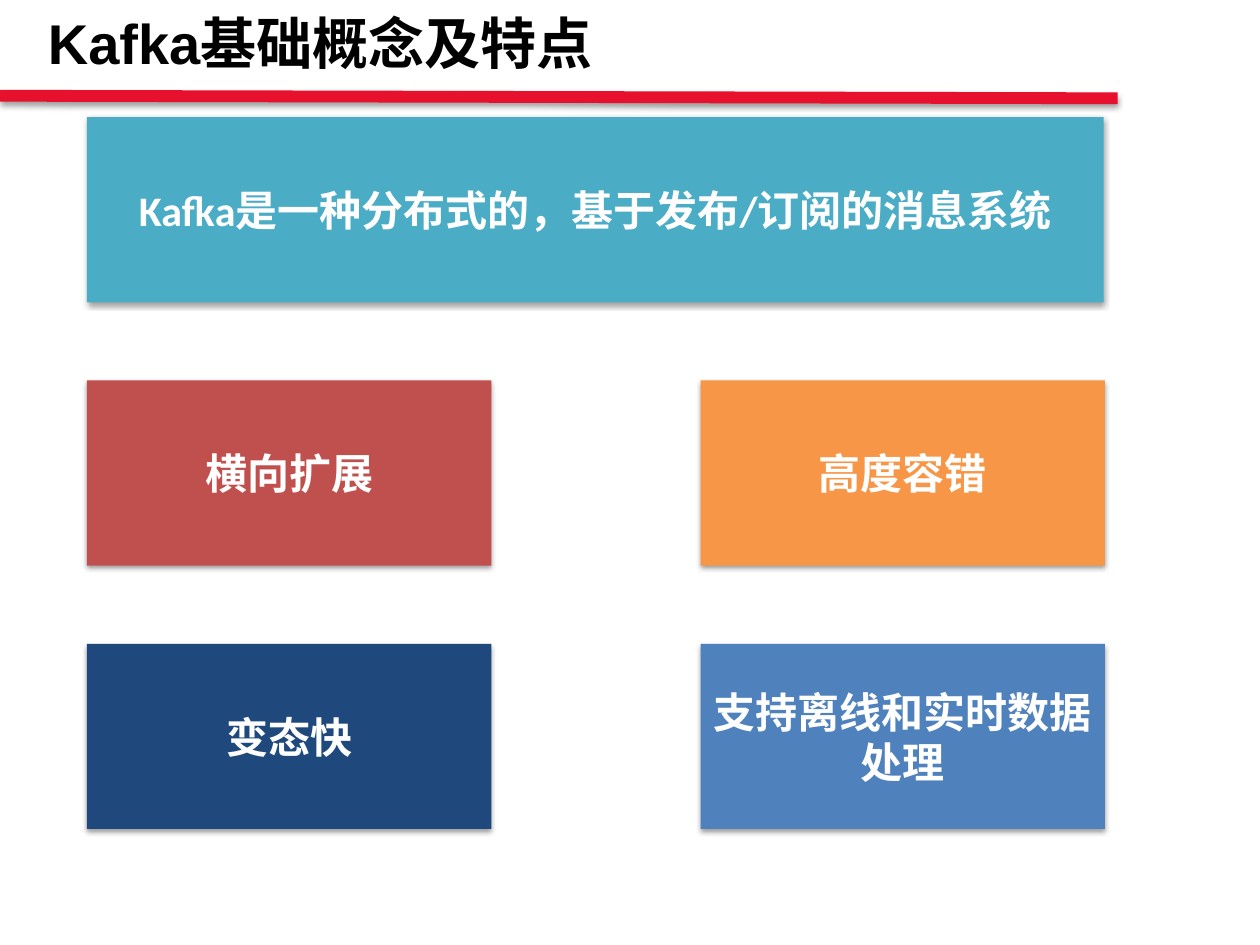
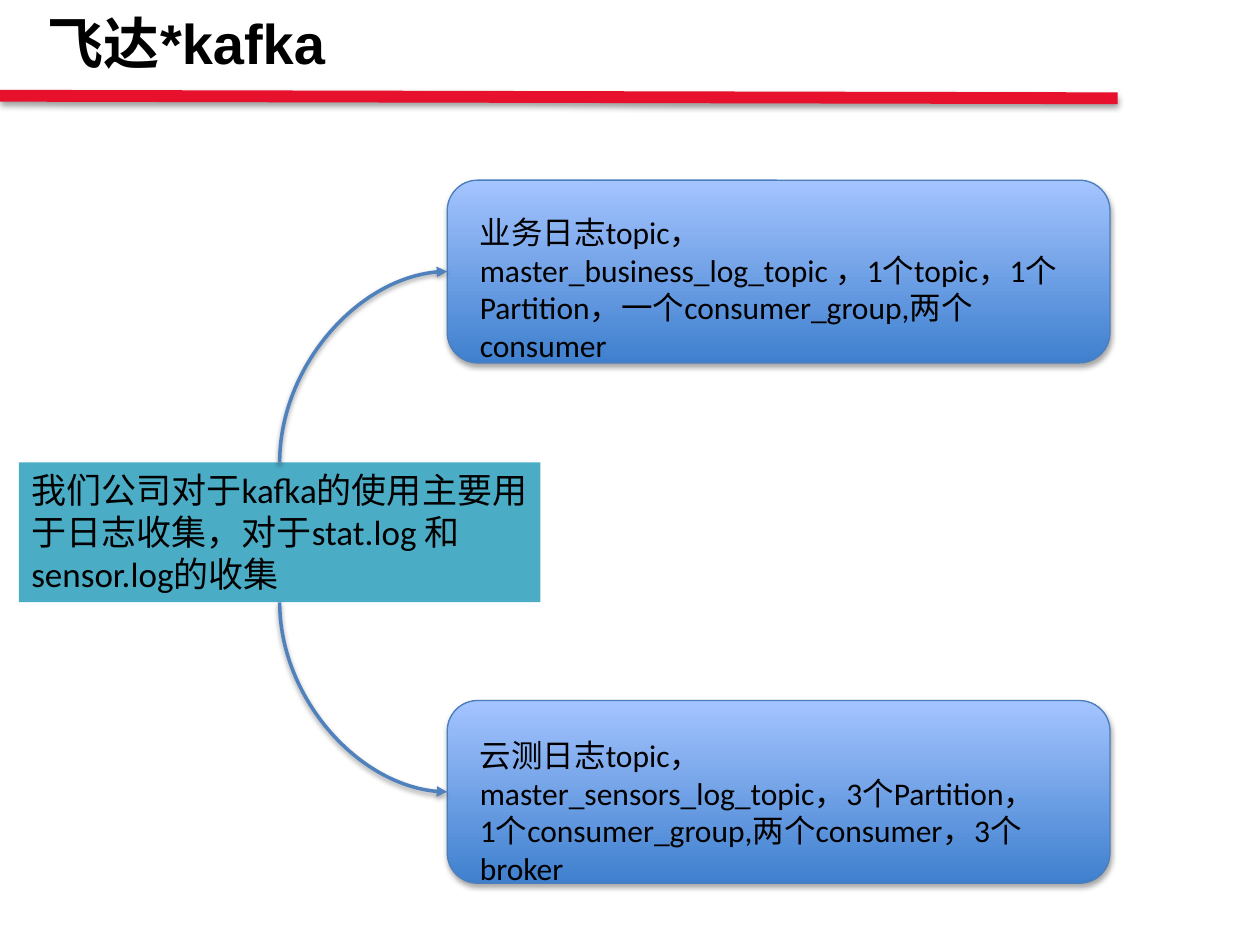
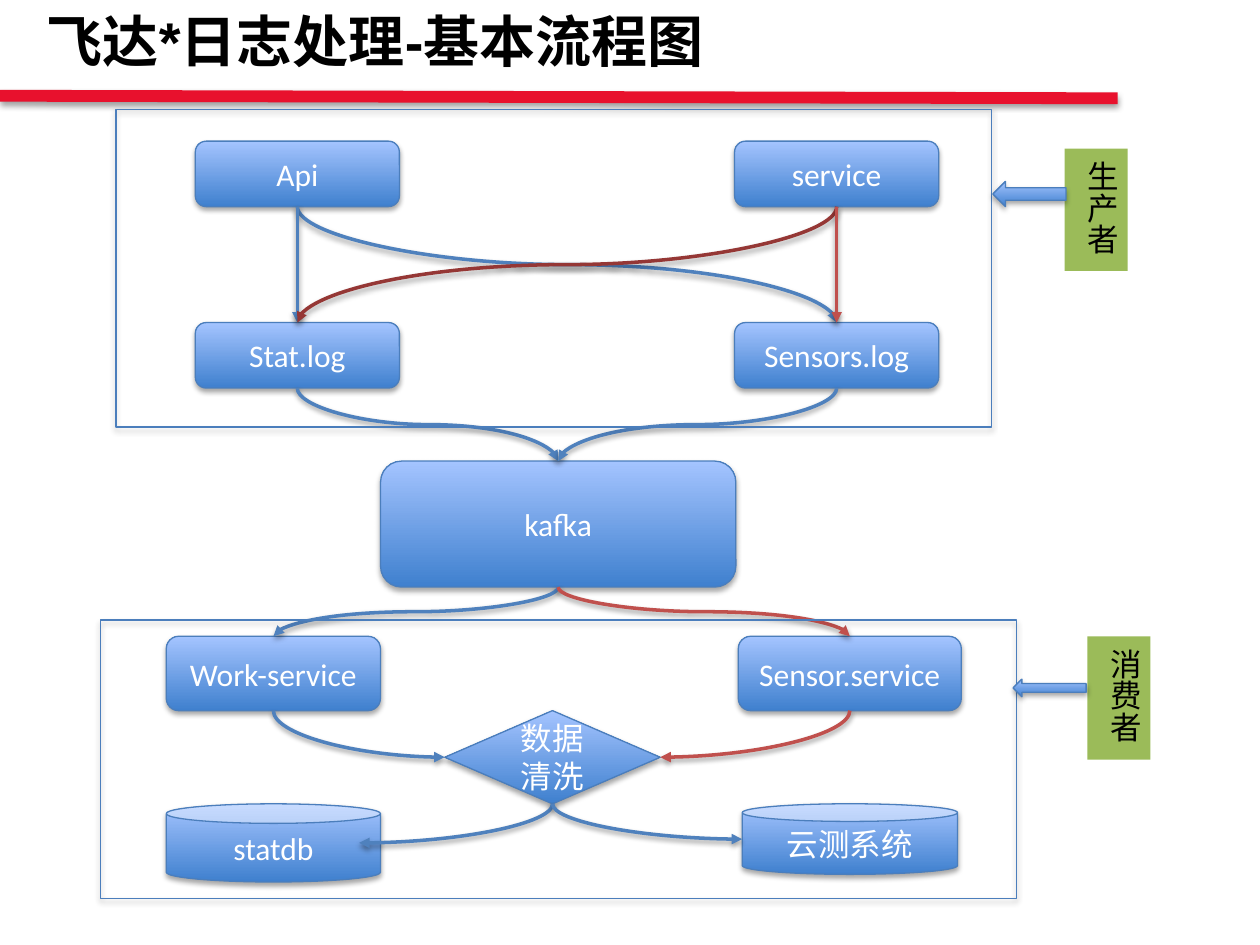
from dataclasses import dataclass
from enum import Enum
from typing import Optional

from lxml.etree import SubElement
from pptx import Presentation
from pptx.dml.color import RGBColor
from pptx.enum.shapes import MSO_CONNECTOR as Wire, MSO_SHAPE as Kind
from pptx.enum.text import MSO_ANCHOR as Anchor, MSO_AUTO_SIZE as AutoSize, PP_ALIGN as Align
from pptx.oxml.ns import qn
from pptx.shapes.autoshape import Shape
from pptx.shapes.connector import Connector
from pptx.slide import Slide
from pptx.text.text import TextFrame
from pptx.util import Inches, Pt

BLACK, WHITE = "000000", "FFFFFF"
BAND_RED = "E8112D"
TEAL, BLUE, NAVY = "4BACC6", "4F81BD", "1F497D"
RED, DARK_RED, ORANGE, GREEN = "C0504D", "953735", "F79646", "9BBB59"
EDGE, GRADIENT = "4B7EBC", ("3F80CE", "A4C4FF")


class Side(Enum):
    TOP = (0.5, 0, 0)
    LEFT = (0, 0.5, 1)
    BOTTOM = (0.5, 1, 2)
    RIGHT = (1, 0.5, 3)


@dataclass(frozen=True)
class Box:
    left: float
    top: float
    width: float
    height: float
    text: str = ""
    kind: Kind = Kind.ROUNDED_RECTANGLE


@dataclass(frozen=True)
class TextStyle:
    size: float = 18
    color: str = WHITE
    bold: bool = False
    font: str = "Calibri"
    align: Align = Align.CENTER
    anchor: Anchor = Anchor.MIDDLE


@dataclass(frozen=True)
class Link:
    start: str
    start_side: Side
    end: str
    end_side: Side
    color: str = BLUE
    inset: float = 0


NODE_TEXT = TextStyle()
CARD_TEXT = TextStyle(24, bold=True)
TITLE_TEXT = TextStyle(32, BLACK, True, "Arial", Align.LEFT, Anchor.TOP)
NOTE_TEXT = TextStyle(18, BLACK, align=Align.LEFT, anchor=Anchor.TOP)
SUMMARY_TEXT = TextStyle(20, BLACK, align=Align.LEFT, anchor=Anchor.TOP)


def rgb(color: str) -> RGBColor:
    return RGBColor.from_string(color)


def write(frame: TextFrame, text: str, style: TextStyle) -> None:
    frame.word_wrap = True
    frame.auto_size = AutoSize.NONE
    frame.vertical_anchor = style.anchor
    para = frame.paragraphs[0]
    para.text = text
    para.alignment = style.align
    para.font.name = style.font
    para.font.size = Pt(style.size)
    para.font.bold = style.bold
    para.font.color.rgb = rgb(style.color)


def add_shadow(item: Shape | Connector, opacity: int = 38, distance: float = 1.6) -> None:
    effects = SubElement(item._element.spPr, qn("a:effectLst"))
    shadow = SubElement(effects, qn("a:outerShdw"), blurRad=str(Pt(3.1)),
                        dist=str(Pt(distance)), dir="5400000", rotWithShape="0")
    color = SubElement(shadow, qn("a:srgbClr"), val=BLACK)
    SubElement(color, qn("a:alpha"), val=str(opacity * 1000))


def place(slide: Slide, box: Box) -> Shape:
    return slide.shapes.add_shape(box.kind, Inches(box.left), Inches(box.top),
                                  Inches(box.width), Inches(box.height))


def add_flat(slide: Slide, box: Box, color: str, style: TextStyle, shadow: bool = False) -> Shape:
    shape = place(slide, box)
    shape.fill.solid()
    shape.fill.fore_color.rgb = rgb(color)
    shape.line.fill.background()
    if shadow:
        add_shadow(shape)
    else:
        shape.shadow.inherit = False
    write(shape.text_frame, box.text, style)
    return shape


def add_node(slide: Slide, box: Box, filled: bool = True) -> Shape:
    shape = place(slide, box)
    if filled:
        shape.fill.gradient()
        shape.fill.gradient_angle = 90
        for stop, color in zip(shape.fill.gradient_stops, GRADIENT):
            stop.color.rgb = rgb(color)
    else:
        shape.fill.background()
    shape.line.color.rgb = rgb(EDGE)
    shape.line.width = Pt(0.75)
    add_shadow(shape, 35, 1.8)
    if box.text:
        write(shape.text_frame, box.text, NODE_TEXT)
    return shape


def add_note(slide: Slide, box: Box) -> None:
    note = slide.shapes.add_textbox(Inches(box.left), Inches(box.top),
                                    Inches(box.width), Inches(box.height))
    write(note.text_frame, box.text, NOTE_TEXT)


def point_on(shape: Shape, side: Side) -> tuple[int, int]:
    across, down, _ = side.value
    return int(shape.left + shape.width * across), int(shape.top + shape.height * down)


def site_on(shape: Shape, side: Side) -> int:
    site = side.value[2]
    return site + 1 if shape.auto_shape_type == Kind.CAN else site


def add_link(slide: Slide, nodes: dict[str, Shape], link: Link) -> None:
    start, end = nodes[link.start], nodes[link.end]
    x1, y1 = point_on(start, link.start_side)
    x2, y2 = point_on(end, link.end_side)
    x2 -= Inches(link.inset)
    curve = slide.shapes.add_connector(Wire.CURVE, x1, y1, x2, y2)
    curve.begin_connect(start, site_on(start, link.start_side))
    if not link.inset:
        curve.end_connect(end, site_on(end, link.end_side))

    curve.width, curve.height = abs(y2 - y1), abs(x2 - x1)
    curve.left = (x1 + x2 - curve.width) // 2
    curve.top = (y1 + y2 - curve.height) // 2
    upward, rightward = y2 < y1, x2 > x1
    frame = curve._element.spPr.find(qn("a:xfrm"))
    frame.set("rot", "16200000" if rightward and not upward else "5400000")
    frame.set("flipH", str(int(rightward)))
    frame.set("flipV", str(int(upward)))
    if link.end_side in (Side.LEFT, Side.RIGHT):
        curve._element.spPr.find(qn("a:prstGeom")).set("prst", "curvedConnector2")

    curve.line.color.rgb = rgb(link.color)
    curve.line.width = Pt(2)
    SubElement(curve._element.spPr.find(qn("a:ln")), qn("a:tailEnd"), type="triangle")
    add_shadow(curve)


def add_page(deck: Presentation, title: str, left: float = 0.28, top: float = 0.02,
             width: float = 6) -> Slide:
    page = deck.slides.add_slide(deck.slide_layouts[5])
    band = page.shapes.add_connector(Wire.STRAIGHT, 0, Inches(0.76), Inches(8.87), Inches(0.78))
    band.line.color.rgb = rgb(BAND_RED)
    band.line.width = Pt(6.75)
    add_shadow(band)
    heading = page.shapes.title
    heading.left, heading.top = Inches(left), Inches(top)
    heading.width, heading.height = Inches(width), Inches(0.64)
    write(heading.text_frame, title, TITLE_TEXT)
    return page


def build_features(deck: Presentation) -> None:
    page = add_page(deck, "Kafka基础概念及特点")
    left, top, column_step, row_step, height = 0.69, 0.93, 4.87, 2.09, 1.47
    definition = Box(left, top, 8.07, height, "Kafka是一种分布式的，基于发布/订阅的消息系统", Kind.RECTANGLE)
    add_flat(page, definition, TEAL, CARD_TEXT, shadow=True)
    features = [("横向扩展", RED), ("高度容错", ORANGE), ("变态快", NAVY), ("支持离线和实时数据处理", BLUE)]
    for index, (text, color) in enumerate(features):
        row, column = divmod(index, 2)
        card = Box(left + column * column_step, top + (row + 1) * row_step, 3.21, height,
                   text, Kind.RECTANGLE)
        add_flat(page, card, color, CARD_TEXT, shadow=True)


def build_usage(deck: Presentation) -> None:
    page = add_page(deck, "飞达*kafka")
    summary = Box(0.15, 3.67, 4.14, 1.11,
                  "我们公司对于kafka的使用主要用于日志收集，对于stat.log 和sensor.log的收集", Kind.RECTANGLE)
    nodes = {
        "summary": add_flat(page, summary, TEAL, SUMMARY_TEXT),
        "business": add_node(page, Box(3.55, 1.43, 5.26, 1.45)),
        "sensors": add_node(page, Box(3.55, 5.56, 5.26, 1.45)),
    }
    add_link(page, nodes, Link("summary", Side.TOP, "business", Side.LEFT))
    add_link(page, nodes, Link("summary", Side.BOTTOM, "sensors", Side.LEFT))
    add_note(page, Box(3.71, 1.64, 4.82, 1.05,
                       "业务日志topic，master_business_log_topic ，1个topic，1个Partition，"
                       "一个consumer_group,两个consumer"))
    add_note(page, Box(3.71, 5.79, 4.7, 1.01,
                       "云测日志topic， master_sensors_log_topic，3个Partition，"
                       "1个consumer_group,两个consumer，3个broker"))


def build_flow(deck: Presentation) -> None:
    page = add_page(deck, "飞达*日志处理-基本流程图", 0.27, 0, 7.61)
    boxes = {
        "api": Box(1.55, 1.12, 1.62, 0.52, "Api"),
        "service": Box(5.83, 1.12, 1.62, 0.52, "service"),
        "stat_log": Box(1.55, 2.56, 1.62, 0.52, "Stat.log"),
        "sensors_log": Box(5.83, 2.56, 1.62, 0.52, "Sensors.log"),
        "kafka": Box(3.02, 3.66, 2.82, 1, "kafka"),
        "work": Box(1.32, 5.05, 1.7, 0.59, "Work-service"),
        "sensor": Box(5.86, 5.05, 1.77, 0.59, "Sensor.service"),
        "cleaning": Box(3.53, 5.64, 1.71, 0.74, "数据清洗", Kind.DIAMOND),
        "statdb": Box(1.32, 6.38, 1.7, 0.62, "statdb", Kind.CAN),
        "analytics": Box(5.89, 6.38, 1.71, 0.56, "云测系统", Kind.CAN),
    }
    nodes = {name: add_node(page, box) for name, box in boxes.items()}
    links = [
        Link("api", Side.BOTTOM, "sensors_log", Side.TOP),
        Link("api", Side.BOTTOM, "stat_log", Side.TOP),
        Link("service", Side.BOTTOM, "stat_log", Side.TOP, DARK_RED),
        Link("service", Side.BOTTOM, "sensors_log", Side.TOP, RED),
        Link("stat_log", Side.BOTTOM, "kafka", Side.TOP),
        Link("sensors_log", Side.BOTTOM, "kafka", Side.TOP),
        Link("kafka", Side.BOTTOM, "work", Side.TOP),
        Link("kafka", Side.BOTTOM, "sensor", Side.TOP, RED),
        Link("work", Side.BOTTOM, "cleaning", Side.LEFT),
        Link("sensor", Side.BOTTOM, "cleaning", Side.RIGHT, RED),
        Link("cleaning", Side.BOTTOM, "statdb", Side.RIGHT, inset=0.17),
        Link("cleaning", Side.BOTTOM, "analytics", Side.LEFT),
    ]
    for link in links:
        add_link(page, nodes, link)

    for frame in (Box(0.92, 0.87, 6.95, 2.52, kind=Kind.RECTANGLE),
                  Box(0.8, 4.92, 7.27, 2.21, kind=Kind.RECTANGLE)):
        add_node(page, frame, filled=False)
    for role in (Box(8.45, 1.18, 0.5, 0.97, "生产者", Kind.RECTANGLE),
                 Box(8.63, 5.05, 0.5, 0.98, "消费者", Kind.RECTANGLE)):
        label = add_flat(page, role, GREEN, NOTE_TEXT)
        label.text_frame._txBody.bodyPr.set("vert", "eaVert")
    for arrow in (Box(7.88, 1.44, 0.58, 0.2, kind=Kind.LEFT_ARROW),
                  Box(8.04, 5.39, 0.58, 0.14, kind=Kind.LEFT_ARROW)):
        add_node(page, arrow)


def main() -> None:
    deck = Presentation()
    deck.slide_width, deck.slide_height = Inches(10), Inches(7.5)
    build_features(deck)
    build_usage(deck)
    build_flow(deck)
    deck.save("out.pptx")


if __name__ == "__main__":
    main()
